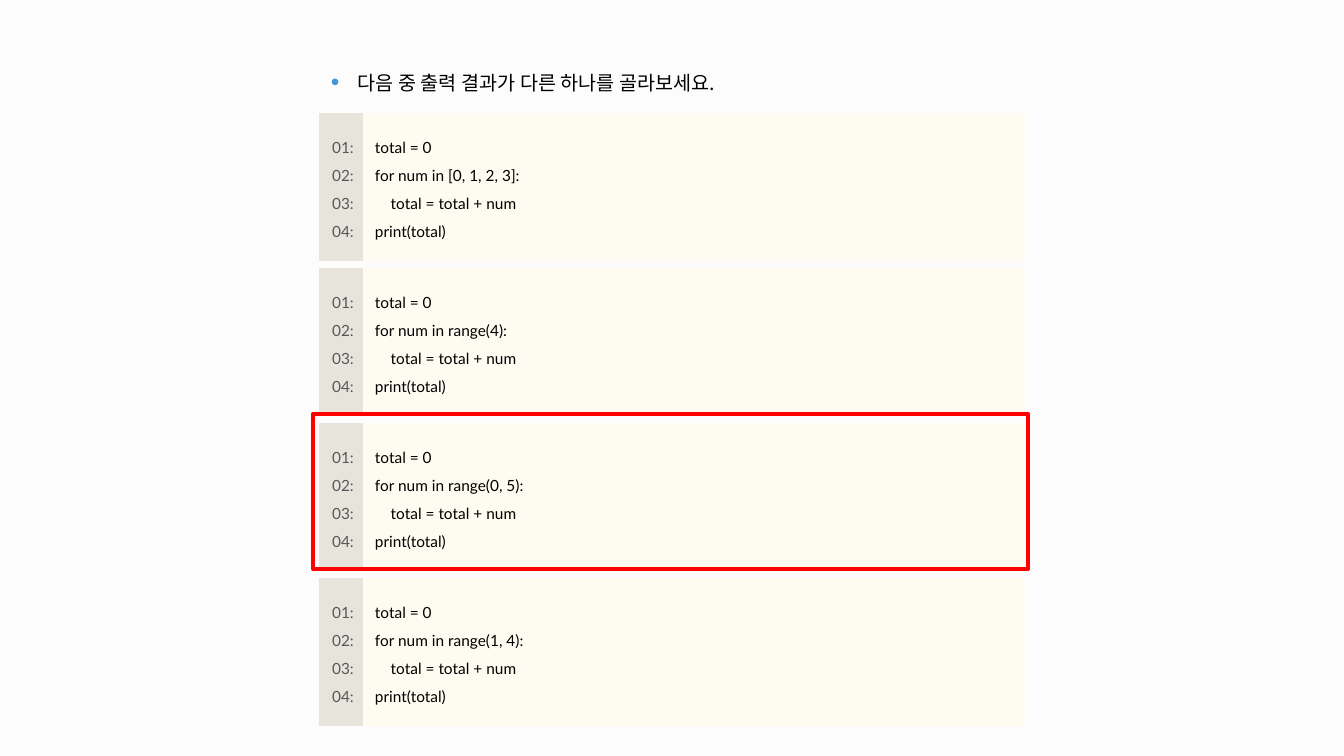
from lxml import etree
from pptx import Presentation
from pptx.dml.color import RGBColor
from pptx.enum.shapes import MSO_SHAPE
from pptx.enum.text import MSO_ANCHOR, PP_ALIGN
from pptx.oxml.ns import qn
from pptx.util import Pt

PX = 914400 / 100.8
RECTANGLE = MSO_SHAPE.RECTANGLE
MIDDLE = MSO_ANCHOR.MIDDLE
LEFT, CENTER = PP_ALIGN.LEFT, PP_ALIGN.CENTER
NO_GRID_STYLE = "{2D5ABB26-0587-4C30-8999-92F81FD0307C}"

COLORS = {
    "background": "FCFCFC",
    "gutter": "E6E4DB",
    "code": "FEFBF1",
    "number": "57585A",
    "text": "000000",
    "bullet": "4495D1",
    "answer": "FF0000",
}
FORMATS = {
    "question": {"size": 14, "name": "Noto Sans CJK KR", "color": "text",
                 "align": LEFT, "margins": (12, 4, 0, 16)},
    "number": {"size": 11, "name": "Lato", "color": "number",
               "align": CENTER, "margins": (4, 4, 0, 8)},
    "code": {"size": 11, "name": "Lato", "color": "text",
             "align": LEFT, "margins": (12, 16, 0, 20)},
}
SIDES = ("margin_left", "margin_top", "margin_right", "margin_bottom")

QUESTION = "다음 중 출력 결과가 다른 하나를 골라보세요."
SEQUENCES = ("[0, 1, 2, 3]", "range(4)", "range(0, 5)", "range(1, 4)")
ANSWER = 2

QUIZ_BOX = (319, 49, 706, 674)
GUTTER_WIDTH = 44
QUESTION_HEIGHT, CODE_HEIGHT, GAP_HEIGHT = 64, 147, 7
BULLET_INDENT = 27


def px(length):
    return round(length * PX)


def rgb(key):
    return RGBColor.from_string(COLORS[key])


def set_margins(cell, margins):
    for side, margin in zip(SIDES, margins):
        setattr(cell, side, px(margin))


def fill_cell(cell, lines, style, fill=None):
    look = FORMATS[style]
    set_margins(cell, look["margins"])
    cell.vertical_anchor = MIDDLE
    if fill:
        cell.fill.solid()
        cell.fill.fore_color.rgb = rgb(fill)
    for index, line in enumerate(lines):
        frame = cell.text_frame
        paragraph = frame.paragraphs[0] if index == 0 else frame.add_paragraph()
        paragraph.alignment = look["align"]
        paragraph.line_spacing = 1.5
        run = paragraph.add_run()
        run.text = line
        for attribute, value in (("name", look["name"]), ("size", Pt(look["size"]))):
            setattr(run.font, attribute, value)
        run.font.color.rgb = rgb(look["color"])
        east_asian = etree.SubElement(run.font._element, qn("a:ea"))
        east_asian.set("typeface", look["name"])


def add_bullet(paragraph):
    properties = paragraph._p.get_or_add_pPr()
    properties.set("marL", str(px(BULLET_INDENT)))
    properties.set("indent", str(-px(BULLET_INDENT)))
    color = etree.SubElement(properties, qn("a:buClr"))
    etree.SubElement(color, qn("a:srgbClr")).set("val", COLORS["bullet"])
    etree.SubElement(properties, qn("a:buSzPct")).set("val", "125000")
    etree.SubElement(properties, qn("a:buFont")).set("typeface", "Arial")
    etree.SubElement(properties, qn("a:buChar")).set("char", "•")


def shrink_gap(cell):
    set_margins(cell, (0, 0, 0, 0))
    paragraph = cell.text_frame.paragraphs[0]._p
    etree.SubElement(paragraph, qn("a:endParaRPr")).set("sz", "100")


def add_quiz(slide, box):
    left, top, width, height = box
    row_count = 2 * len(SEQUENCES)
    frame = slide.shapes.add_table(row_count, 2, *map(px, box))
    quiz = frame.table
    quiz.first_row = quiz.horz_banding = False
    quiz._tbl.tblPr.find(qn("a:tableStyleId")).text = NO_GRID_STYLE
    quiz.columns[0].width = px(GUTTER_WIDTH)
    quiz.columns[1].width = px(width - GUTTER_WIDTH)
    for index, row in enumerate(quiz.rows):
        row.height = px(CODE_HEIGHT if index % 2 else GAP_HEIGHT)
    quiz.rows[0].height = px(QUESTION_HEIGHT)

    question = quiz.cell(0, 0)
    question.merge(quiz.cell(0, 1))
    fill_cell(question, [QUESTION], "question")
    add_bullet(question.text_frame.paragraphs[0])

    for index, sequence in enumerate(SEQUENCES):
        row = 2 * index + 1
        code = ["total = 0", f"for num in {sequence}:",
                "    total = total + num", "print(total)"]
        numbers = [f"{number:02}:" for number in range(1, len(code) + 1)]
        fill_cell(quiz.cell(row, 0), numbers, "number", "gutter")
        fill_cell(quiz.cell(row, 1), code, "code", "code")
        if index:
            for column in range(2):
                shrink_gap(quiz.cell(row - 1, column))


def add_answer_frame(slide, box):
    left, top, width, height = box
    block_top = top + QUESTION_HEIGHT + ANSWER * (CODE_HEIGHT + GAP_HEIGHT)
    answer = slide.shapes.add_shape(
        RECTANGLE, px(left - 6), px(block_top - 7), px(width + 9), px(CODE_HEIGHT + 8))
    answer.shadow.inherit = False
    answer.fill.background()
    answer.line.color.rgb = rgb("answer")
    answer.line.width = Pt(3)


def main():
    deck = Presentation()
    deck.slide_width, deck.slide_height = px(1344), px(756)
    slide = deck.slides.add_slide(deck.slide_layouts[6])
    slide.background.fill.solid()
    slide.background.fill.fore_color.rgb = rgb("background")
    add_quiz(slide, QUIZ_BOX)
    add_answer_frame(slide, QUIZ_BOX)
    deck.save("out.pptx")


if __name__ == "__main__":
    main()
